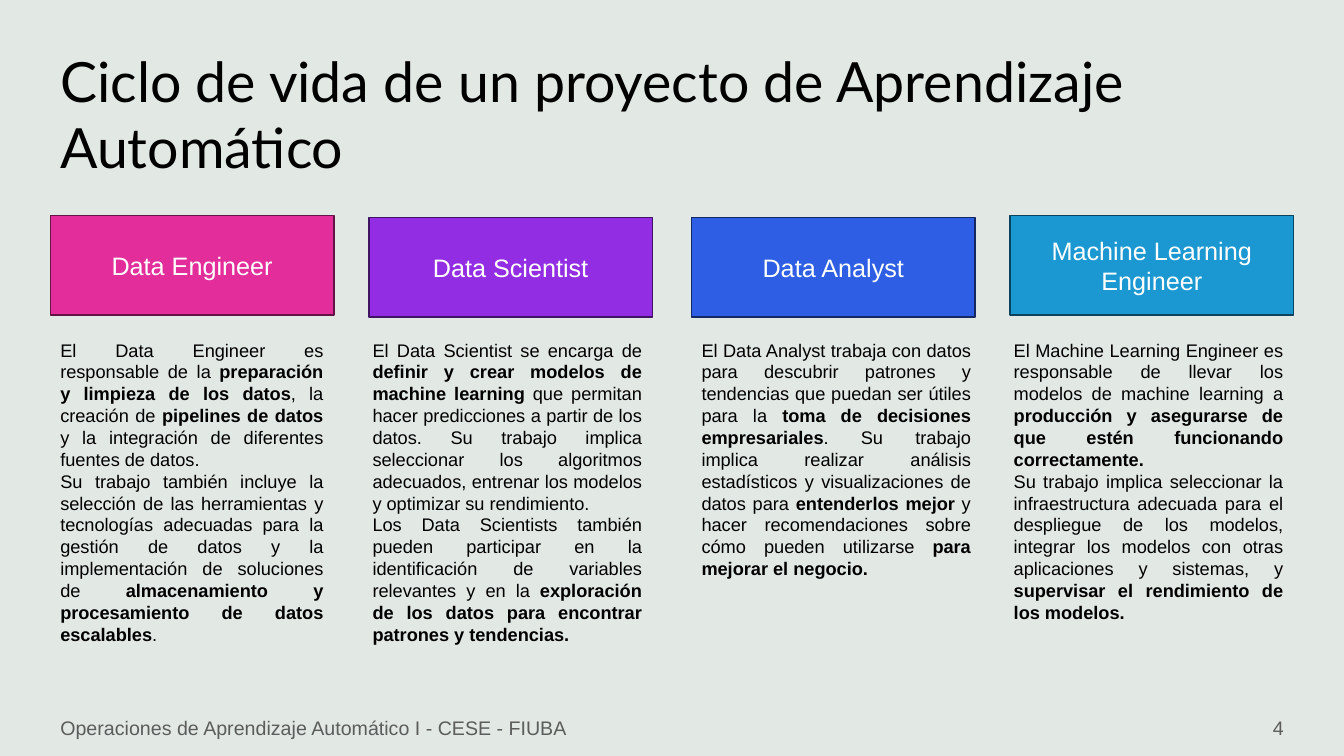
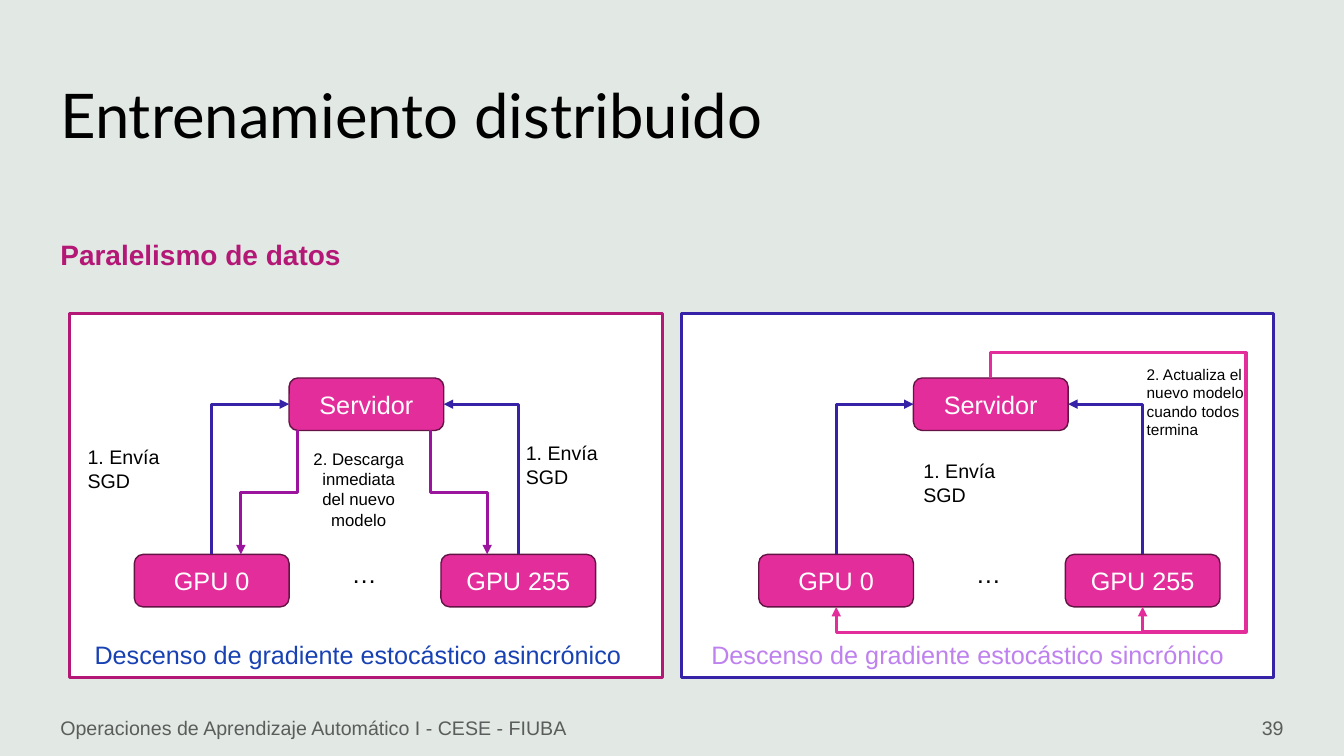
import lxml.etree
import pptx
import pptx.dml.color
import pptx.enum.shapes
import pptx.enum.text
import pptx.oxml.ns
import pptx.util

Pt = pptx.util.Pt
RGBColor = pptx.dml.color.RGBColor
Align = pptx.enum.text.PP_ALIGN
Anchor = pptx.enum.text.MSO_ANCHOR
Preset = pptx.enum.shapes.MSO_SHAPE

BACKGROUND = RGBColor(0xE2, 0xE8, 0xE4)
FOOTER_GRAY = RGBColor(0x5A, 0x5D, 0x5B)
BLACK = RGBColor(0x00, 0x00, 0x00)
WHITE = RGBColor(0xFF, 0xFF, 0xFF)
PINK = RGBColor(0xE3, 0x2D, 0x9B)
PINK_DARK = RGBColor(0x63, 0x14, 0x44)
MAGENTA = RGBColor(0xB4, 0x18, 0x76)
PURPLE = RGBColor(0x93, 0x2D, 0xE3)
PURPLE_DARK = RGBColor(0x40, 0x14, 0x63)
PURPLE_LIGHT = RGBColor(0xBE, 0x81, 0xEE)
VIOLET = RGBColor(0x9A, 0x14, 0x9D)
INDIGO = RGBColor(0x36, 0x22, 0xA7)
BLUE = RGBColor(0x2D, 0x5E, 0xE3)
BLUE_DARK = RGBColor(0x14, 0x29, 0x63)
BLUE_DEEP = RGBColor(0x18, 0x42, 0xB4)
CYAN = RGBColor(0x1B, 0x98, 0xD1)
CYAN_DARK = RGBColor(0x0C, 0x43, 0x5C)

BODY_FONT = "Arial"
TITLE_FONT = "Lato"
FOOTER = "Operaciones de Aprendizaje Automático I - CESE - FIUBA"

NODE_WIDTH, NODE_HEIGHT = 110.5, 37.5
SERVER_TOP, GPU_TOP = 270, 396
SERVER_MIDDLE = SERVER_TOP + NODE_HEIGHT / 2
SERVER_BOTTOM = SERVER_TOP + NODE_HEIGHT
GPU_BOTTOM = GPU_TOP + NODE_HEIGHT
LAST_GPU_OFFSET = 219

# Header left, header top, fill, outline, name, text left, text width, text
ROLES = [
    (36, 154, PINK, PINK_DARK, "Data Engineer", 36, 202,
     "El Data Engineer es responsable de la **preparación y limpieza de los datos**, "
     "la creación de **pipelines de datos** y la integración de diferentes fuentes de datos.\n"
     "Su trabajo también incluye la selección de las herramientas y tecnologías adecuadas "
     "para la gestión de datos y la implementación de soluciones de "
     "**almacenamiento y procesamiento de datos escalables**."),
    (263.5, 155.5, PURPLE, PURPLE_DARK, "Data Scientist", 259, 206.5,
     "El Data Scientist se encarga de **definir y crear modelos de machine learning** "
     "que permitan hacer predicciones a partir de los datos. Su trabajo implica seleccionar "
     "los algoritmos adecuados, entrenar los modelos y optimizar su rendimiento.\n"
     "Los Data Scientists también pueden participar en la identificación de variables "
     "relevantes y en la **exploración de los datos para encontrar patrones y tendencias.**"),
    (494, 155.5, BLUE, BLUE_DARK, "Data Analyst", 494, 206.5,
     "El Data Analyst trabaja con datos para descubrir patrones y tendencias que puedan ser "
     "útiles para la **toma de decisiones empresariales**. Su trabajo implica realizar "
     "análisis estadísticos y visualizaciones de datos para **entenderlos mejor** y hacer "
     "recomendaciones sobre cómo pueden utilizarse **para mejorar el negocio.**"),
    (721.5, 154, CYAN, CYAN_DARK, "Machine Learning Engineer", 717, 206.5,
     "El Machine Learning Engineer es responsable de llevar los modelos de machine learning a "
     "**producción y asegurarse de que estén funcionando correctamente.**\n"
     "Su trabajo implica seleccionar la infraestructura adecuada para el despliegue de los "
     "modelos, integrar los modelos con otras aplicaciones y sistemas, y "
     "**supervisar el rendimiento de los modelos.**"),
]


def write_text(shape, text, size=18, font=BODY_FONT, color=BLACK, bold=False,
               align=Align.LEFT, anchor=Anchor.TOP, line_spacing=None):
    """Fill a shape; newlines split paragraphs and ** switches bold."""
    frame = shape.text_frame
    frame.word_wrap = True
    frame.vertical_anchor = anchor
    for index, line in enumerate(text.split("\n")):
        paragraph = frame.add_paragraph() if index else frame.paragraphs[0]
        paragraph.alignment = align
        if line_spacing:
            paragraph.line_spacing = line_spacing
        for part_index, part in enumerate(line.split("**")):
            if part:
                run = paragraph.add_run()
                run.text = part
                run.font.name = font
                run.font.size = Pt(size)
                run.font.bold = bold or part_index % 2 == 1
                run.font.color.rgb = color


def add_text(slide, left, top, width, height, text, **text_format):
    box = slide.shapes.add_textbox(Pt(left), Pt(top), Pt(width), Pt(height))
    write_text(box, text, **text_format)


def add_box(slide, left, top, width, height, fill, outline, line_width=1,
            preset=Preset.RECTANGLE, text=""):
    shape = slide.shapes.add_shape(preset, Pt(left), Pt(top), Pt(width), Pt(height))
    shape.shadow.inherit = False
    shape.fill.solid()
    shape.fill.fore_color.rgb = fill
    shape.line.color.rgb = outline
    shape.line.width = Pt(line_width)
    if text:
        write_text(shape, text, color=WHITE, align=Align.CENTER, anchor=Anchor.MIDDLE)


def add_child(parent, tag, **attributes):
    """Append an XML element to its parent."""
    lxml.etree.SubElement(parent, pptx.oxml.ns.qn(tag), attributes)


def add_elbow(slide, start, end, color, preset="bentConnector2", arrow="a:tailEnd",
              adjustments=()):
    """Draw a bent connector that leaves its start vertically."""
    across, down = end[0] - start[0], end[1] - start[1]
    width, height = abs(down), abs(across)
    left = (start[0] + end[0] - width) / 2
    top = (start[1] + end[1] - height) / 2
    connector = slide.shapes.add_connector(
        pptx.enum.shapes.MSO_CONNECTOR.ELBOW,
        Pt(left), Pt(top), Pt(left + width), Pt(top + height))
    connector.line.color.rgb = color
    connector.line.width = Pt(2.25)

    properties = connector.element.spPr
    quarter_turn = across * down < 0
    transform = properties.find(pptx.oxml.ns.qn("a:xfrm"))
    transform.set("rot", str((90 if quarter_turn else 270) * 60000))
    transform.set("flipH", str(int((down < 0) == quarter_turn)))
    transform.set("flipV", str(int((across > 0) == quarter_turn)))

    geometry = properties.find(pptx.oxml.ns.qn("a:prstGeom"))
    geometry.set("prst", preset)
    guides = geometry.find(pptx.oxml.ns.qn("a:avLst"))
    for number, value in enumerate(adjustments, start=1):
        add_child(guides, "a:gd", name=f"adj{number}", fmla=f"val {round(value * 100000)}")

    add_child(properties.find(pptx.oxml.ns.qn("a:ln")), arrow, type="triangle")
    add_child(properties, "a:effectLst")


def add_base_slide(presentation, title, number, title_size=44):
    """Add a slide with the shared background, title and footer."""
    slide = presentation.slides.add_slide(presentation.slide_layouts[6])
    slide.background.fill.solid()
    slide.background.fill.fore_color.rgb = BACKGROUND
    add_text(slide, 36, 29, 858, 104, title, size=title_size, font=TITLE_FONT,
             anchor=Anchor.MIDDLE)
    footer_format = {"size": 14, "color": FOOTER_GRAY, "anchor": Anchor.MIDDLE}
    add_text(slide, 36, 505.5, 469, 29, FOOTER, **footer_format)
    add_text(slide, 708, 505.5, 216, 29, str(number), align=Align.RIGHT, **footer_format)
    return slide


def add_cluster(slide, left):
    """Draw the server, its GPUs and the arrows that send gradients up."""
    server_left = left + NODE_WIDTH
    last_left = left + LAST_GPU_OFFSET
    for node_left, top, name in [(server_left, SERVER_TOP, "Servidor"),
                                 (left, GPU_TOP, "GPU 0"),
                                 (last_left, GPU_TOP, "GPU 255")]:
        add_box(slide, node_left, top, NODE_WIDTH, NODE_HEIGHT, PINK, PINK_DARK,
                preset=Preset.ROUNDED_RECTANGLE, text=name)
    add_text(slide, left + 148, 395.5, 32.5, 29, "…")
    for gpu_left, server_side in [(left, server_left),
                                  (last_left, server_left + NODE_WIDTH)]:
        add_elbow(slide, (gpu_left + NODE_WIDTH / 2, GPU_TOP),
                  (server_side, SERVER_MIDDLE), INDIGO)


def add_roles_slide(presentation):
    slide = add_base_slide(presentation, "Ciclo de vida de un proyecto de Aprendizaje Automático",
                           4, title_size=39.6)
    for left, top, fill, outline, name, text_left, text_width, text in ROLES:
        add_box(slide, left, top, 202.5, 71, fill, outline, text=name)
        add_text(slide, text_left, 238.5, text_width, 230, text, size=13, align=Align.JUSTIFY)


def add_training_slide(presentation):
    slide = add_base_slide(presentation, "Entrenamiento distribuido", 39)
    add_text(slide, 36, 163.5, 888, 34, "Paralelismo de datos", size=20, color=MAGENTA,
             bold=True, line_spacing=1.1)
    for left, outline in [(49.5, MAGENTA), (486.5, INDIGO)]:
        add_box(slide, left, 224, 423.5, 260, WHITE, outline, line_width=2.25)

    async_left, sync_left = 96, 542
    add_cluster(slide, async_left)
    add_cluster(slide, sync_left)
    for left, top in [(55.5, 314.5), (368.5, 311.5), (652.5, 324.5)]:
        add_text(slide, left, top, 97, 41, "1. Envía SGD", size=14)

    for gpu_x, server_x in [(172, 212.5), (348, 307.5)]:
        add_elbow(slide, (gpu_x, GPU_TOP), (server_x, SERVER_BOTTOM), VIOLET,
                  preset="bentConnector3", arrow="a:headEnd", adjustments=(0.5,))
    add_text(slide, 211.5, 317, 89.5, 65.5, "2. Descarga inmediata\ndel nuevo modelo", size=12,
             align=Align.CENTER)

    first_gpu_x = sync_left + NODE_WIDTH / 2
    last_gpu_x = first_gpu_x + LAST_GPU_OFFSET
    server_x = first_gpu_x + NODE_WIDTH
    add_elbow(slide, (server_x, SERVER_TOP), (last_gpu_x, GPU_BOTTOM), PINK,
              preset="bentConnector5", adjustments=(-0.11, 1.68, 1.11))
    add_elbow(slide, (first_gpu_x, GPU_BOTTOM), (last_gpu_x + 1, GPU_BOTTOM + 18), PINK,
              arrow="a:headEnd")
    add_text(slide, 812, 257, 88, 60.5, "2. Actualiza el nuevo modelo cuando todos termina",
             size=11)

    for left, name, color in [(60.5, "asincrónico", BLUE_DEEP),
                              (501, "sincrónico", PURPLE_LIGHT)]:
        add_text(slide, left, 453, 402, 29, f"Descenso de gradiente estocástico {name}",
                 color=color)


def main():
    presentation = pptx.Presentation()
    presentation.slide_width = Pt(960)
    presentation.slide_height = Pt(540)
    add_roles_slide(presentation)
    add_training_slide(presentation)
    presentation.save("out.pptx")


if __name__ == "__main__":
    main()
